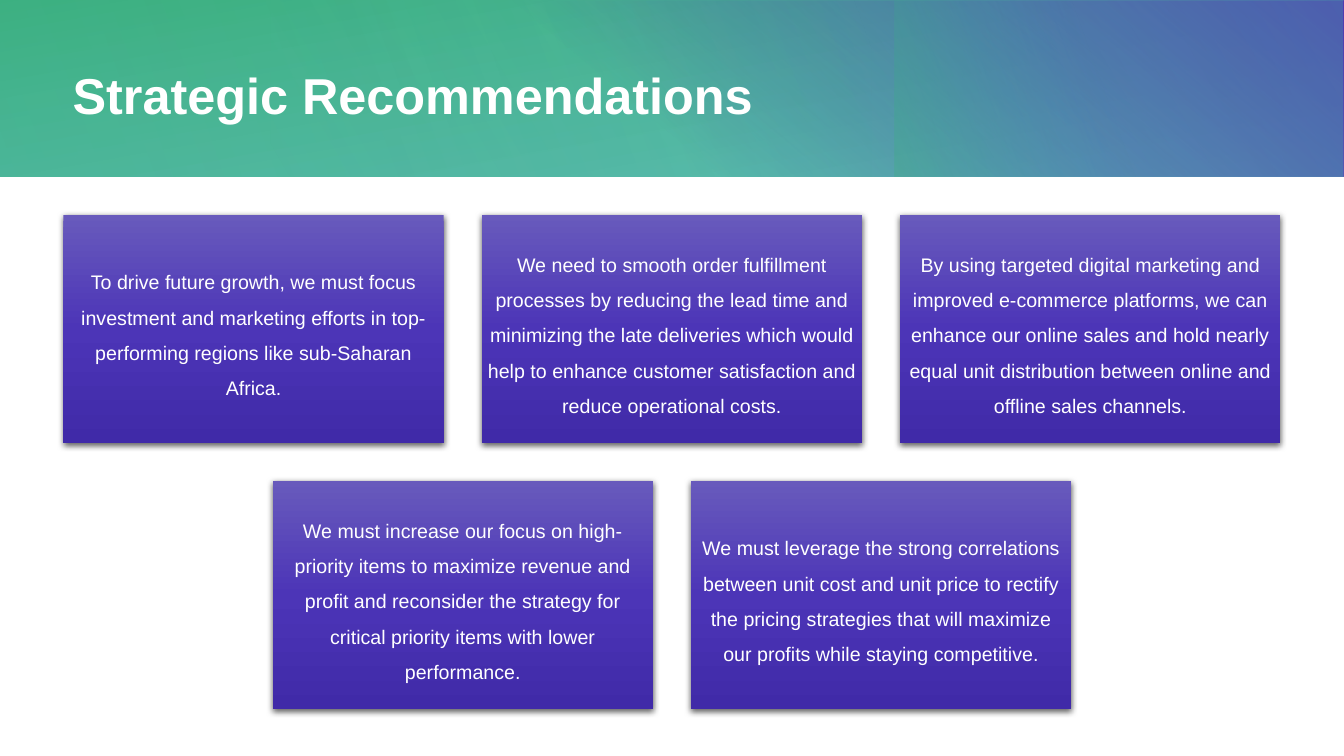
from lxml import etree
from pptx import Presentation
from pptx import util as u
from pptx.dml.color import RGBColor
from pptx.enum import shapes, text
from pptx.oxml.ns import qn

HUES = {"white": "FFFFFF", "teal": "46B3AB", "green": "3BB178", "blue": "3B88B1",
        "violet": "503BB1", "light": "685ABC", "mid": "4C35B7", "deep": "402AA8",
        "black": "000000"}
WIDE, HIGH = 33.87, 19.05
BAND = (0, 0, WIDE, 4.45)
BODY = (1.6, 5.42, 30.67, 12.45)
GAP = 0.96
WASHES = [
    ((0, 0, 33.87, 4.45), 0, 260, [(0, "teal", 83), (100, "green", 100)]),
    ((12.22, 0.02, 21.65, 4.43), 0, 310, [(22, "violet", 0), (99, "violet", 100)]),
    ((25.07, -2.53, 4.45, 9.5), 270, 250, [(45, "blue", 0), (99, "green", 33)]),
    ((6.81, 0, 27.03, 4.45), 180, 330, [(0, "teal", 30), (99, "teal", 0)]),
    ((0, 0, 21.97, 4.45), 0, 340, [(0, "teal", 21), (99, "teal", 0)]),
]
CARD = [(0, "light", 100), (50, "mid", 100), (100, "deep", 100)]
ROWS = [
    ["To drive future growth, we must focus investment and marketing efforts in "
     "top-performing regions like sub-Saharan Africa.",
     "We need to smooth order fulfillment processes by reducing the lead time and "
     "minimizing the late deliveries which would help to enhance customer "
     "satisfaction and reduce operational costs.",
     "By using targeted digital marketing and improved e-commerce platforms, we can "
     "enhance our online sales and hold nearly equal unit distribution between "
     "online and offline sales channels."],
    ["We must increase our focus on high-priority items to maximize revenue and "
     "profit and reconsider the strategy for critical priority items with lower "
     "performance.",
     "We must leverage the strong correlations between unit cost and unit price to "
     "rectify the pricing strategies that will maximize our profits while staying "
     "competitive."],
]


def put(item, look):
    """Set each attribute of item from the look dict."""
    for name, value in look.items():
        setattr(item, name, value)


def node(up, tag, **attrs):
    """Add a drawing element with the given attributes."""
    return etree.SubElement(up, qn("a:" + tag), {k: str(v) for k, v in attrs.items()})


def tint(up, hue, alpha):
    """Add a colour with an opacity in percent."""
    node(node(up, "srgbClr", val=HUES[hue]), "alpha", val=alpha * 1000)


def panel(slide, box, angle, stops, turn=0):
    """Draw a borderless rectangle with a linear gradient."""
    rect = slide.shapes.add_shape(shapes.MSO_SHAPE.RECTANGLE, *map(u.Cm, box))
    rect.rotation = turn
    rect.line.fill.background()
    rect.shadow.inherit = False
    props = rect._element.spPr
    fill = node(props, "gradFill", rotWithShape=1)
    ramp = node(fill, "gsLst")
    for place, hue, alpha in stops:
        tint(node(ramp, "gs", pos=place * 1000), hue, alpha)
    node(fill, "lin", ang=angle * 60000, scaled=0)
    props.find(qn("a:prstGeom")).addnext(fill)
    return rect


def write(shape, words, inset, para, font):
    """Write one white paragraph, centred vertically in the shape."""
    frame = shape.text_frame
    put(frame, {"word_wrap": True, "vertical_anchor": text.MSO_ANCHOR.MIDDLE})
    put(frame, {"margin_" + side: u.Cm(inset)
                for side in ("left", "top", "right", "bottom")})
    line = frame.paragraphs[0]
    put(line, para)
    run = line.add_run()
    run.text = words
    put(run.font, {"name": "Arial", **font})
    run.font.color.rgb = RGBColor.from_string(HUES["white"])


def header(slide, box):
    """Draw the layered band and its title."""
    left, top, width, height = box
    for (x, y, w, h), turn, angle, stops in WASHES:
        panel(slide, (left + x, top + y, w, h), angle, stops, turn)
    area = (left + 1.83, top + 1.04, width - 5.04, height - 1.76)
    title = slide.shapes.add_textbox(*map(u.Cm, area))
    write(title, "Strategic Recommendations", 0,
          {"alignment": text.PP_ALIGN.LEFT}, {"size": u.Pt(36), "bold": True})


def card(slide, box, words):
    """Draw a shaded card with centred text."""
    rect = panel(slide, box, 90, CARD)
    glow = node(rect._element.spPr.find(qn("a:effectLst")), "outerShdw",
                blurRad=u.Pt(4.5), dist=u.Pt(1.5), dir=5400000, rotWithShape=0)
    tint(glow, "black", 63)
    write(rect, words, 0.14,
          {"alignment": text.PP_ALIGN.CENTER, "line_spacing": 1.5,
           "space_after": u.Pt(4.9)}, {"size": u.Pt(14), "bold": False})


def grid(slide, box):
    """Place the rows of cards, each centred in the box."""
    left, top, width, height = box
    most = max(map(len, ROWS))
    wide = (width - GAP * (most - 1)) / most
    high = (height - GAP * (len(ROWS) - 1)) / len(ROWS)
    for r, row in enumerate(ROWS):
        start = left + (most - len(row)) * (wide + GAP) / 2
        for c, words in enumerate(row):
            spot = (start + c * (wide + GAP), top + r * (high + GAP), wide, high)
            card(slide, spot, words)


def main():
    """Build and save the slide."""
    deck = Presentation()
    put(deck, {"slide_width": u.Cm(WIDE), "slide_height": u.Cm(HIGH)})
    slide = deck.slides.add_slide(deck.slide_layouts[6])
    header(slide, BAND)
    grid(slide, BODY)
    deck.save("out.pptx")


if __name__ == "__main__":
    main()
